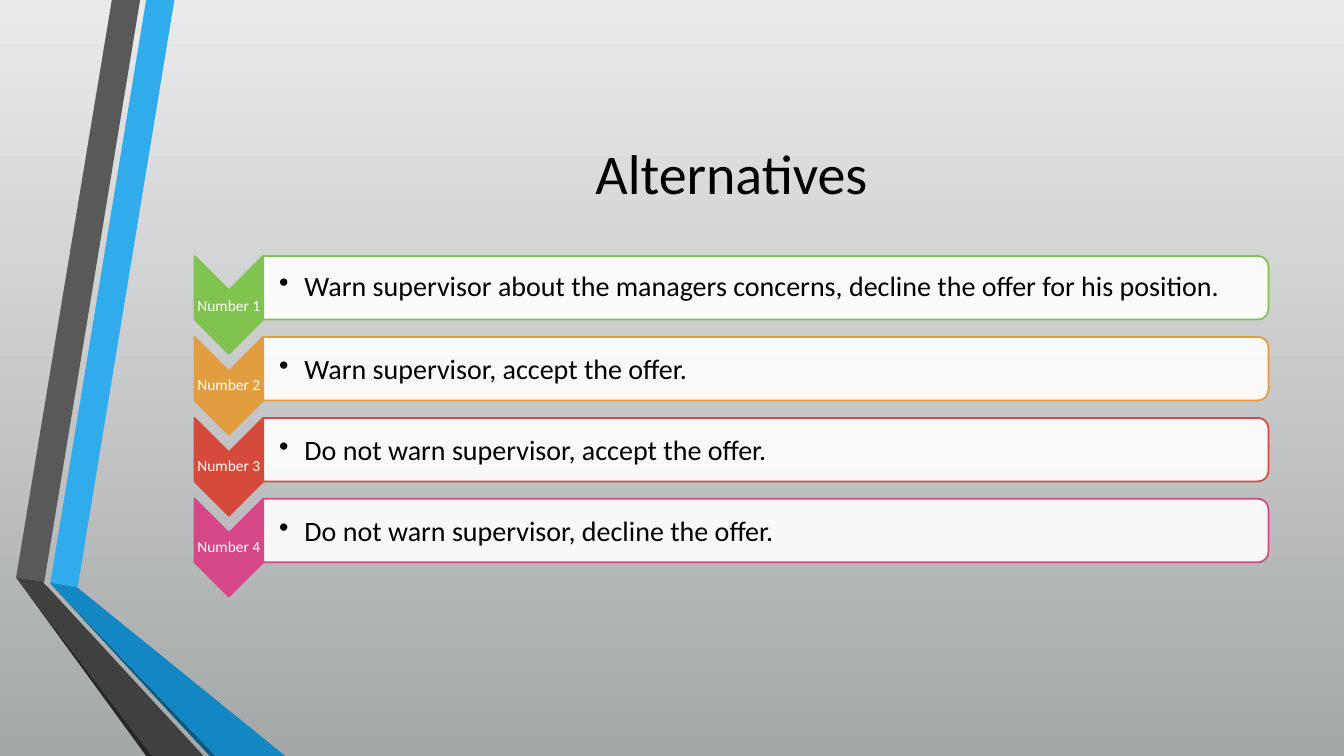
from lxml import etree
from pptx import Presentation
from pptx import util as u
from pptx.dml.color import RGBColor
from pptx.enum import shapes, text
from pptx.oxml.ns import qn

theme = {
    "font": "Calibri", "title": 40, "body": 20, "label": 11,
    "ink": "000000", "paper": "FFFFFF", "back": ("E9EAEB", "A5A8A9"),
    "blue": "30ACEC", "blue_mid": "1287C3", "blue_dark": "0C5A82",
    "grey": "595959", "grey_mid": "404040", "grey_dark": "262626",
}
rgb = RGBColor.from_string

prs = Presentation()
prs.slide_width, prs.slide_height = u.Inches(13.33), u.Inches(7.5)
s = prs.slides.add_slide(prs.slide_layouts[6])


def paint(sp, fill, line=None):
    sp.shadow.inherit = False
    sp.fill.solid()
    sp.fill.fore_color.rgb = rgb(fill)
    if line:
        sp.line.color.rgb = rgb(line)
        sp.line.width = u.Pt(1.25)
    else:
        sp.line.fill.background()


def write(box, words, size, color, align, inset=0.01, spacing=1.0, bullet=False):
    tf = s.shapes.add_textbox(*(u.Inches(v) for v in box)).text_frame
    tf.word_wrap = True
    tf.vertical_anchor = text.MSO_ANCHOR.MIDDLE
    tf.margin_left = u.Inches(inset)
    tf.margin_top = tf.margin_right = tf.margin_bottom = u.Inches(0.01)
    p = tf.paragraphs[0]
    p.text = words
    p.alignment = align
    p.line_spacing = spacing
    if bullet:
        pPr = p._p.get_or_add_pPr()
        pPr.set("marL", str(u.Inches(0.25)))
        pPr.set("indent", str(u.Inches(-0.25)))
        etree.SubElement(pPr, qn("a:buChar")).set("char", "•")
    font = p.runs[0].font
    font.name, font.size = theme["font"], u.Pt(size)
    font.color.rgb = rgb(color)


# Background, light at the top
fill = s.background.fill
fill.gradient()
fill.gradient_angle = 270
for stop, color, place in zip(fill.gradient_stops, theme["back"], (0, 1)):
    stop.color.rgb = rgb(color)
    stop.position = place

# Folded ribbons, points in hundredths of an inch
ribbons = [
    ("blue", [(50, 578), (77, 583), (173, 0), (145, 0)]),
    ("grey", [(139, 0), (111, 0), (16, 573), (44, 577)]),
    ("grey_dark", [(16, 573), (145, 750), (151, 750)]),
    ("blue_dark", [(50, 579), (208, 750), (214, 750)]),
    ("blue_mid", [(50, 579), (214, 750), (283, 750), (77, 583), (50, 578)]),
    ("grey_mid", [(202, 750), (48, 583), (43, 578), (44, 577), (16, 573), (151, 750)]),
]
for color, points in ribbons:
    builder = s.shapes.build_freeform(*points[0], scale=u.Inches(0.01))
    builder.add_line_segments(points[1:], close=True)
    paint(builder.convert_to_shape(), theme[color])

# Title
write((1.93, 0.75, 10.65, 1.92), "Alternatives", theme["title"], theme["ink"],
      text.PP_ALIGN.CENTER)

# Alternatives: accent, wording, line spacing of label and of wording
rows = [
    ("80C34F", "Warn supervisor about the managers concerns, decline the offer for his position.", 1.0, 0.9),
    ("E29D3E", "Warn supervisor, accept the offer.", 0.9, 1.0),
    ("D64A3B", "Do not warn supervisor, accept the offer.", 0.9, 1.0),
    ("D64787", "Do not warn supervisor, decline the offer.", 0.9, 1.0),
]
top, pitch = 2.54, 0.803
left, split, right = 1.93, 2.61, 12.58
label_w, bar_w = split - left, right - split
chevron_h, bar_h = 0.97, 0.63

for i, (accent, words, label_spacing, spacing) in enumerate(rows):
    y = top + i * pitch
    # Both shapes are turned a quarter, so length and thickness swap about the centre
    for kind, x, w, h, color in (
        (shapes.MSO_SHAPE.CHEVRON, left, label_w, chevron_h, accent),
        (shapes.MSO_SHAPE.ROUND_2_SAME_RECTANGLE, split, bar_w, bar_h, theme["paper"]),
    ):
        sp = s.shapes.add_shape(kind, u.Inches(x + (w - h) / 2), u.Inches(y + (h - w) / 2),
                                u.Inches(h), u.Inches(w))
        sp.rotation = 90
        paint(sp, color, accent)
    # The bar lets a tenth of the background through
    solid = sp._element.spPr.find(qn("a:solidFill"))
    etree.SubElement(solid[0], qn("a:alpha")).set("val", "90000")

    write((left, y + 0.34, label_w, 0.29), f"Number {i + 1}", theme["label"],
          theme["paper"], text.PP_ALIGN.CENTER, spacing=label_spacing)
    write((split, y + 0.03, bar_w - 0.03, 0.57), words, theme["body"], theme["ink"],
          text.PP_ALIGN.LEFT, inset=0.16, spacing=spacing, bullet=True)

prs.save("out.pptx")
